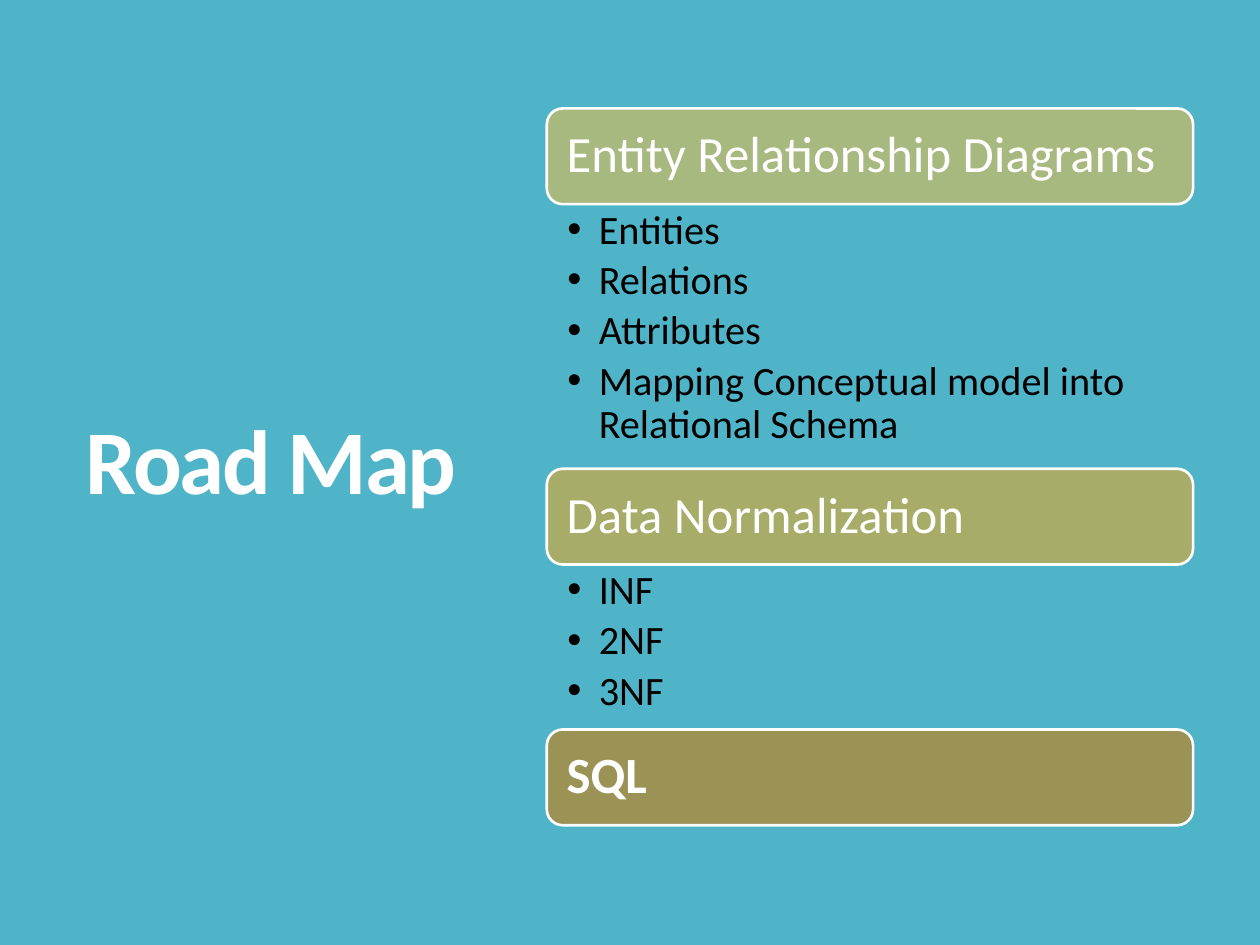
from lxml.etree import SubElement as Sub
from pptx import Presentation
from pptx.dml.color import RGBColor as Rgb
from pptx.enum.shapes import MSO_SHAPE as Kind
from pptx.enum.text import MSO_ANCHOR as Anchor, PP_ALIGN as Align
from pptx.oxml.ns import qn
from pptx.util import Pt

FONT = "Calibri"
COLORS = {
    "back": "50B4C8",
    "white": "FFFFFF",
    "black": "000000",
    "sage": "A8B97F",
    "olive": "A7AC68",
    "earth": "9B9256",
}

# Stack geometry, in points
LEFT, TOP, WIDTH, BAR = 312.5, 62, 369.3, 54.7

# Heading, bar colour, bold, bullets, height of the bullet list
TOPICS = [
    ("Entity Relationship Diagrams", "sage", False,
     ["Entities", "Relations", "Attributes",
      "Mapping Conceptual model into Relational Schema"], 151.2),
    ("Data Normalization", "olive", False, ["INF", "2NF", "3NF"], 94.3),
    ("SQL", "earth", True, [], 0),
]


def color(name):
    return Rgb.from_string(COLORS[name])


def set_frame(shape, insets, anchor):
    frame = shape.text_frame
    frame.word_wrap = True
    frame.vertical_anchor = anchor
    (frame.margin_left, frame.margin_top,
     frame.margin_right, frame.margin_bottom) = map(Pt, insets)
    return frame


def add_run(para, text, size, tint, bold=False):
    run = para.add_run()
    run.text = text
    font = run.font
    font.name, font.size, font.bold = FONT, Pt(size), bold
    font.color.rgb = color(tint)
    return run


def add_title(slide, text):
    box = slide.shapes.add_textbox(Pt(41.8), Pt(50.4), Pt(236.2), Pt(432.7))
    frame = set_frame(box, (7.2, 3.6, 7.2, 3.6), Anchor.MIDDLE)
    para = frame.paragraphs[0]
    para.line_spacing = 0.85
    run = add_run(para, text, 52, "white", True)
    run._r.get_or_add_rPr().set("spc", "-120")


def add_bar(slide, top, text, fill, bold):
    bar = slide.shapes.add_shape(
        Kind.ROUNDED_RECTANGLE, Pt(LEFT), Pt(top), Pt(WIDTH), Pt(BAR))
    bar.shadow.inherit = False
    bar.fill.solid()
    bar.fill.fore_color.rgb = color(fill)
    bar.line.color.rgb = color("white")
    bar.line.width = Pt(1.5)
    para = set_frame(bar, [8.7] * 4, Anchor.MIDDLE).paragraphs[0]
    para.alignment = Align.LEFT
    para.line_spacing = 0.9
    add_run(para, text, 29, "white", bold)


def add_list(slide, top, height, items):
    box = slide.shapes.add_textbox(
        Pt(LEFT), Pt(top), Pt(WIDTH), Pt(height))
    frame = set_frame(box, (11.7, 2.9, 16.4, 2.9), Anchor.TOP)
    for i, item in enumerate(items):
        para = frame.add_paragraph() if i else frame.paragraphs[0]
        props = para._p.get_or_add_pPr()
        props.set("marL", str(Pt(18)))
        props.set("indent", str(-Pt(18)))
        Sub(props, qn("a:buFont"), typeface="Arial")
        Sub(props, qn("a:buChar"), char="•")
        para.level = 1
        para.line_spacing = 0.9
        para.space_after = Pt(4)
        add_run(para, item, 23, "black")


def main():
    deck = Presentation()
    deck.slide_width, deck.slide_height = Pt(720), Pt(540)
    slide = deck.slides.add_slide(deck.slide_layouts[6])
    back = slide.background.fill
    back.solid()
    back.fore_color.rgb = color("back")

    add_title(slide, "Road Map")

    # Stack the topics from top to bottom
    top = TOP
    for text, fill, bold, items, height in TOPICS:
        add_bar(slide, top, text, fill, bold)
        top += BAR
        if items:
            add_list(slide, top, height, items)
            top += height

    deck.save("out.pptx")


if __name__ == "__main__":
    main()
